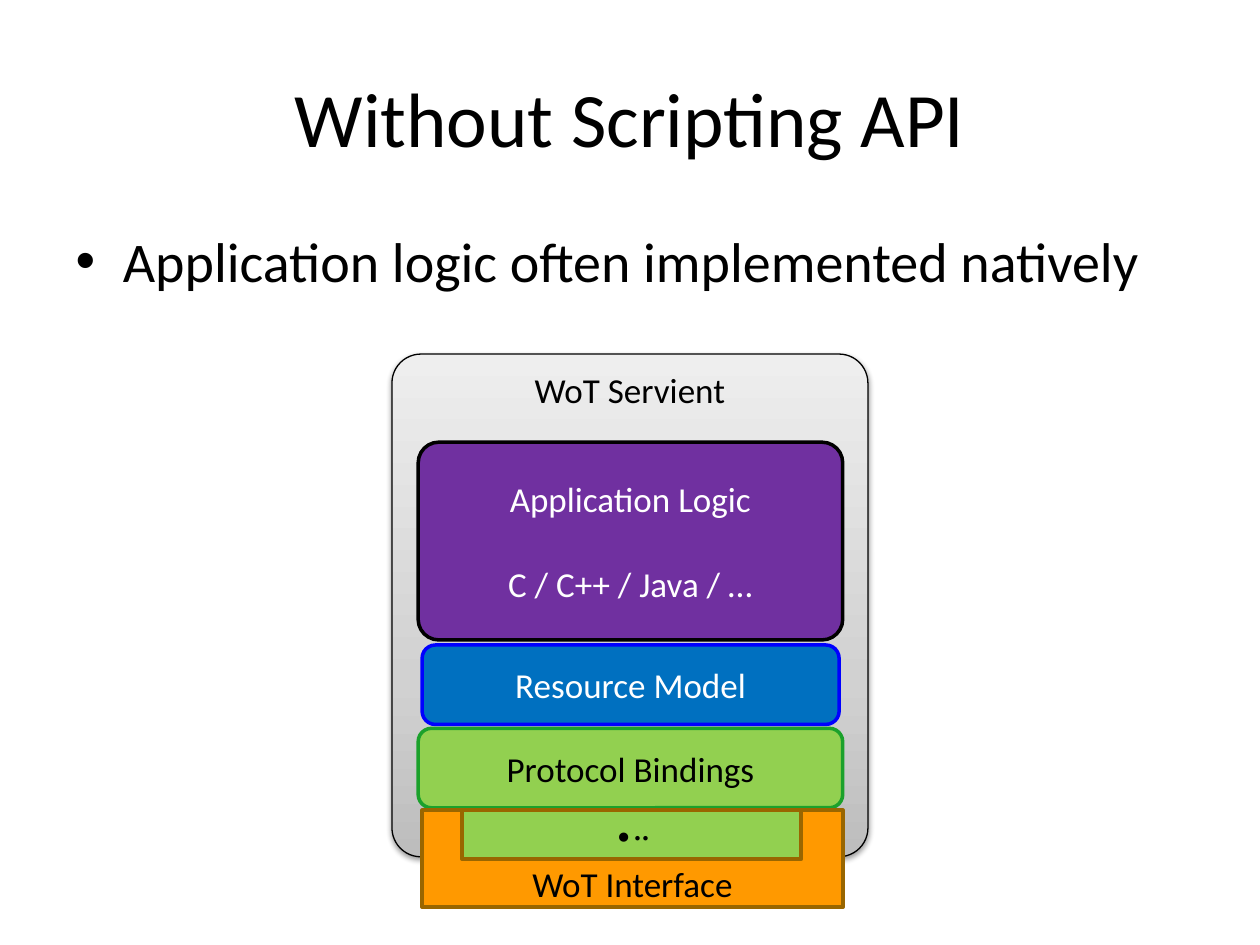
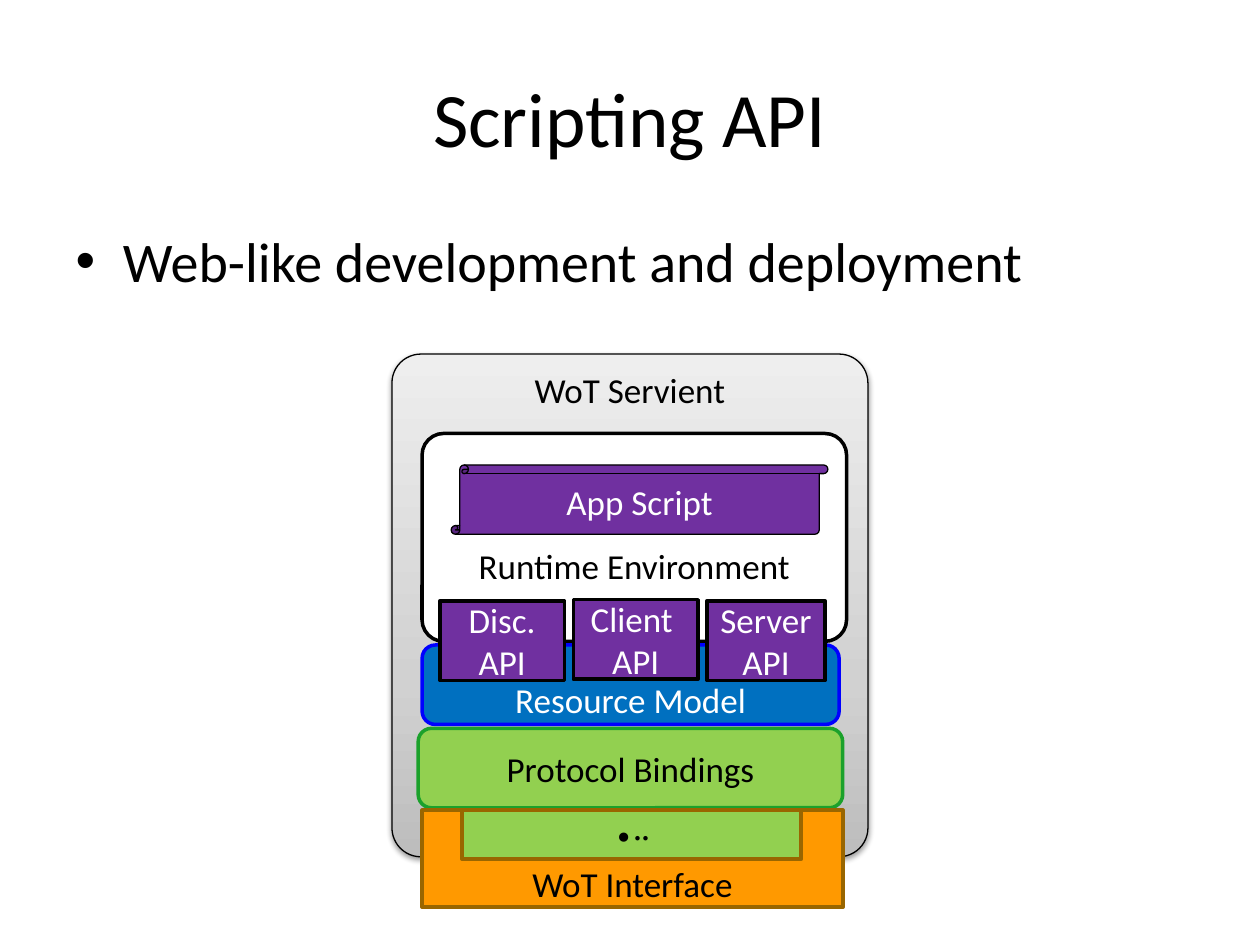
from lxml import etree
from pptx import Presentation
from pptx import util as u
from pptx.dml.color import RGBColor
from pptx.enum import shapes, text
from pptx.oxml import parse_xml
from pptx.oxml.ns import nsdecls, qn

Pt = u.Pt
Kind = shapes.MSO_SHAPE
Anchor = text.MSO_ANCHOR
BLACK, WHITE, PURPLE = "000000", "FFFFFF", "7030A0"
GREEN, LEAF, BLUE, ROYAL = "92D050", "1BA12B", "0070C0", "0000FF"
ORANGE, BROWN = "FF9900", "996600"
METAL = [(0, "BDBDBD"), (35, "D1D1D1"), (100, "EEEEEE")]


def color(hex_code):
    return RGBColor.from_string(hex_code)


class Deck:
    font = "Calibri"

    def __init__(self):
        self.prs = Presentation()
        self.prs.slide_width, self.prs.slide_height = Pt(720), Pt(540)
        self.slide = None

    def set_words(self, frame, words, size, ink, align=text.PP_ALIGN.CENTER):
        frame.text = words
        for paragraph in frame.paragraphs:
            paragraph.alignment = align
            for run in paragraph.runs:
                run.font.name, run.font.size = self.font, Pt(size)
                run.font.color.rgb = color(ink)

    def place(self, holder, left, top, width, height):
        holder.left, holder.top = Pt(left), Pt(top)
        holder.width, holder.height = Pt(width), Pt(height)

    def new_slide(self, heading, point):
        self.slide = self.prs.slides.add_slide(self.prs.slide_layouts[1])
        title, body = self.slide.placeholders
        self.place(title, 36, 21.6, 648, 90)
        self.set_words(title.text_frame, heading, 44, BLACK)
        title.text_frame.vertical_anchor = Anchor.MIDDLE
        self.place(body, 36, 126, 648, 356.4)
        self.set_words(body.text_frame, point, 32, BLACK, text.PP_ALIGN.LEFT)
        first = body.text_frame.paragraphs[0]
        first.space_before = Pt(0)
        props = first._p.get_or_add_pPr()
        props.set("marL", str(Pt(27)))
        props.set("indent", str(Pt(-27)))
        etree.SubElement(props, qn("a:buChar")).set("char", "•")

    def finish(self, shape, words, fill, line, weight=2, ink=BLACK, size=20,
               anchor=Anchor.MIDDLE, top=3.6, bottom=3.6, wrap=True):
        shape.shadow.inherit = False
        shape.fill.solid()
        shape.fill.fore_color.rgb = color(fill)
        shape.line.color.rgb = color(line)
        shape.line.width = Pt(weight)
        frame = shape.text_frame
        frame.word_wrap = wrap
        frame.vertical_anchor = anchor
        frame.margin_top, frame.margin_bottom = Pt(top), Pt(bottom)
        self.set_words(frame, words, size, ink)
        return shape

    def block(self, box, words, fill, line, kind=Kind.ROUNDED_RECTANGLE,
              corner=None, **style):
        shape = self.slide.shapes.add_shape(kind, *map(Pt, box))
        if corner is not None:
            shape.adjustments[0] = corner
        return self.finish(shape, words, fill, line, **style)

    def outline(self, points, words, fill, line, **style):
        start, *rest = [(Pt(x), Pt(y)) for x, y in points]
        builder = self.slide.shapes.build_freeform(*start)
        builder.add_line_segments(rest)
        return self.finish(builder.convert_to_shape(), words, fill, line, **style)

    def metallic(self, shape):
        props = shape._element.spPr
        stops = "".join(
            f'<a:gs pos="{place * 1000}"><a:srgbClr val="{shade}"/></a:gs>'
            for place, shade in METAL)
        gradient = parse_xml(
            f'<a:gradFill {nsdecls("a")} rotWithShape="1"><a:gsLst>{stops}</a:gsLst>'
            '<a:lin ang="16200000" scaled="0"/></a:gradFill>')
        props.replace(props.find(qn("a:solidFill")), gradient)
        props.find(qn("a:effectLst")).append(parse_xml(
            f'<a:outerShdw {nsdecls("a")} blurRad="{Pt(3.1)}" dist="{Pt(1.6)}" '
            'dir="5400000" rotWithShape="0"><a:srgbClr val="000000">'
            '<a:alpha val="38000"/></a:srgbClr></a:outerShdw>'))

    def servient(self):
        self.metallic(self.block(
            (224, 202.3, 272, 287.3), "WoT Servient", WHITE, BLACK, corner=0.061,
            weight=0.75, anchor=Anchor.TOP, wrap=False))

    def lower_layers(self, **resource_style):
        self.block((239, 416.2, 242.6, 45.4), "Protocol Bindings", GREEN, LEAF)
        self.block((241.2, 368.6, 238.3, 45.4), "Resource Model", BLUE, ROYAL,
                   ink=WHITE, **resource_style)

    def interface(self):
        left, right, top, bottom = 241.2, 481.7, 463, 518.4
        notch_left, notch_right, notch_floor = 269.3, 451.4, 491
        self.outline(
            [(left, top), (notch_left, top), (notch_left, notch_floor),
             (notch_right, notch_floor), (notch_right, top), (right, top),
             (right, bottom), (left, bottom)],
            "WoT Interface", ORANGE, BROWN, anchor=Anchor.BOTTOM, top=0, bottom=1.4)
        self.block((264.2, top, 193.7, 28), "∙··", GREEN, BROWN,
                   kind=Kind.RECTANGLE, weight=2.25, size=18)


def native_slide(deck):
    deck.new_slide("Without Scripting API",
                   "Application logic often implemented natively")
    deck.servient()
    logic = deck.block((239, 252.7, 242.6, 113), "Application Logic\nC / C++ / Java / …",
                       PURPLE, BLACK, corner=0.104, ink=WHITE)
    logic.text_frame.paragraphs[1].space_before = Pt(24.4)
    deck.lower_layers()
    deck.interface()


def scripting_slide(deck):
    deck.new_slide("Scripting API", "Web-like development and deployment")
    deck.servient()
    deck.block((241.2, 247.7, 242.6, 118.8), "Runtime Environment", WHITE, BLACK,
               corner=0.104, anchor=Anchor.BOTTOM, bottom=28)
    deck.block((257.8, 265.7, 215.3, 39.6), "App Script", PURPLE, BLACK,
               kind=Kind.VERTICAL_SCROLL, weight=0.75, ink=WHITE, wrap=False)
    deck.lower_layers(anchor=Anchor.BOTTOM, bottom=0)
    apis = [("Disc.", 343.4, 71.3), ("Client ", 342.7, 71.3), ("Server", 343.4, 67.7)]
    for column, (role, top, width) in enumerate(apis):
        deck.block((251.3 + 76.3 * column, top, width, 45.4), f"{role}\vAPI",
                   PURPLE, BLACK, corner=0, ink=WHITE)
    deck.interface()


def main():
    deck = Deck()
    native_slide(deck)
    scripting_slide(deck)
    deck.prs.save("out.pptx")


if __name__ == "__main__":
    main()
